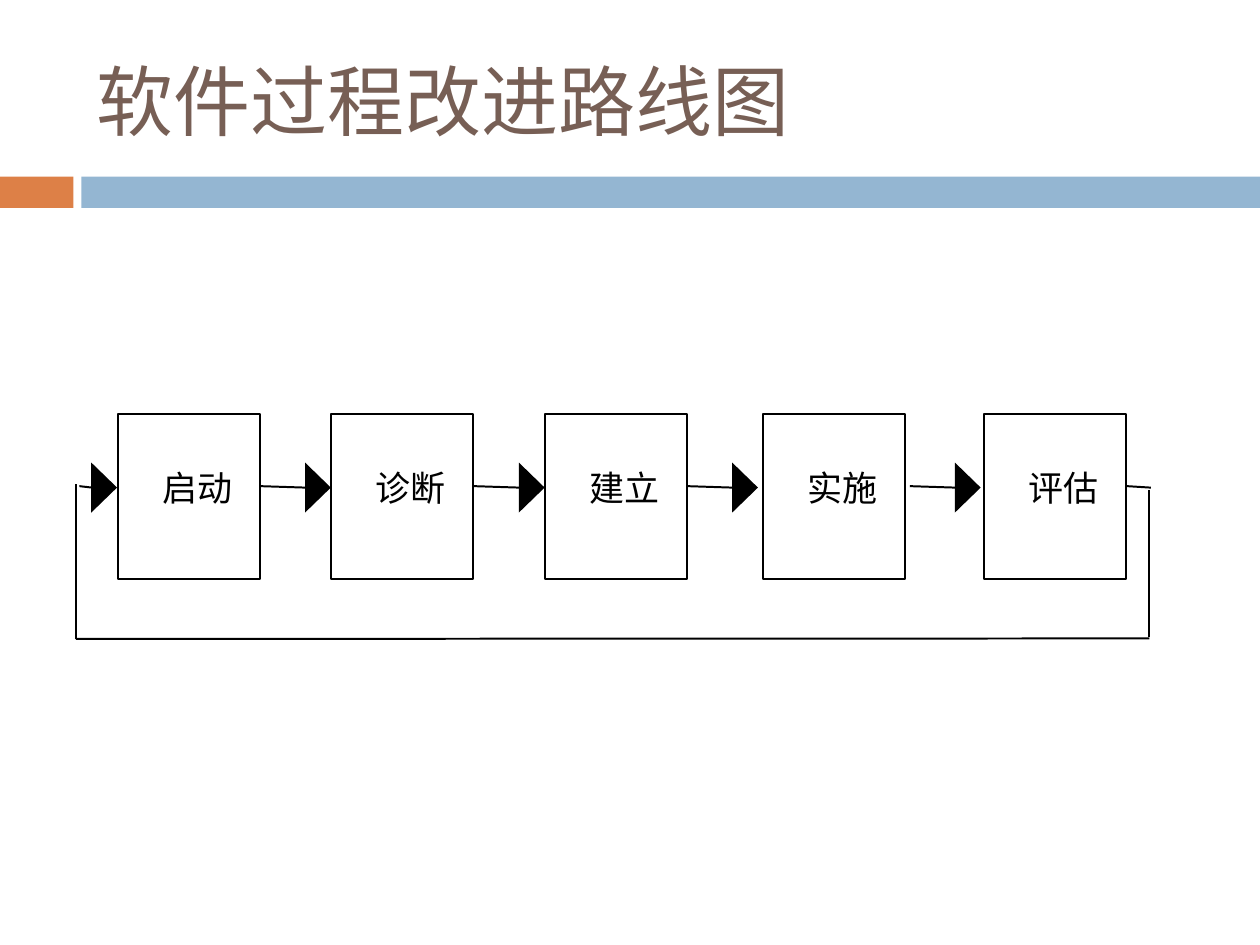
from dataclasses import dataclass

from lxml.etree import SubElement
from pptx import Presentation
from pptx.dml.color import RGBColor
from pptx.enum.shapes import MSO_CONNECTOR as Connector, MSO_SHAPE as Preset
from pptx.enum.text import MSO_ANCHOR as Anchor, PP_ALIGN as Align
from pptx.oxml.ns import qn
from pptx.util import Cm, Pt

BLACK, WHITE = "000000", "FFFFFF"
CJK_FONT = "Noto Sans CJK SC"
LINE_WIDTH = Pt(1.13)
BOX_TOP, BOX_WIDTH, BOX_HEIGHT = 8.35, 2.87, 3.33
FLOW_Y = 9.83
HEAD_WIDTH, HEAD_HEIGHT = 0.52, 1.01
FRAME_FORMAT = dict(margin_left=0, margin_right=0, margin_top=0,
                    margin_bottom=0, word_wrap=True)


@dataclass
class Bar:
    left: float
    width: float
    color: str


@dataclass
class Stage:
    label: str
    left: float


@dataclass
class Arrow:
    start: float
    head: float


@dataclass
class Segment:
    x1: float
    y1: float
    x2: float
    y2: float


BARS = [Bar(0, 1.48, "DD8047"), Bar(1.64, 23.76, "94B6D2")]
STAGES = [Stage("启动", 2.38), Stage("诊断", 6.67), Stage("建立", 10.99),
          Stage("实施", 15.38), Stage("评估", 19.84)]
ARROWS = [Arrow(1.6, 1.84), Arrow(5.24, 6.15), Arrow(9.55, 10.46),
          Arrow(13.85, 14.76), Arrow(18.34, 19.25)]
RETURN_LOOP = [Segment(22.72, 9.8, 23.2, FLOW_Y),
               Segment(23.17, 9.88, 23.17, 12.85),
               Segment(23.17, 12.87, 1.53, 12.88),
               Segment(1.53, 12.88, 1.53, 9.75)]


def rgb(color: str) -> RGBColor:
    return RGBColor.from_string(color)


def write(frame, text: str, size: float, font_name: str, color: str) -> None:
    frame.text = text
    run = frame.paragraphs[0].runs[0]
    for name, value in dict(size=Pt(size), name=font_name, bold=False).items():
        setattr(run.font, name, value)
    run.font.color.rgb = rgb(color)
    SubElement(run.font._element, qn("a:ea"), typeface=CJK_FONT)


def paint(shape, fill: str, outline: str | None = None) -> None:
    shape.shadow.inherit = False
    shape.fill.solid()
    shape.fill.fore_color.rgb = rgb(fill)
    if outline is None:
        shape.line.fill.background()
    else:
        shape.line.color.rgb = rgb(outline)
        shape.line.width = LINE_WIDTH


def draw_bar(shapes, bar: Bar) -> None:
    paint(shapes.add_shape(Preset.RECTANGLE, Cm(bar.left), Cm(3.56),
                           Cm(bar.width), Cm(0.63)), bar.color)


def draw_stage(shapes, stage: Stage) -> None:
    box = shapes.add_shape(Preset.RECTANGLE, Cm(stage.left), Cm(BOX_TOP),
                           Cm(BOX_WIDTH), Cm(BOX_HEIGHT))
    paint(box, WHITE, BLACK)
    label = shapes.add_textbox(Cm(stage.left + 0.85), Cm(9.4), Cm(1.52), Cm(1.65))
    for name, value in FRAME_FORMAT.items():
        setattr(label.text_frame, name, value)
    write(label.text_frame, stage.label, 20, CJK_FONT, BLACK)
    label.text_frame.paragraphs[0].alignment = Align.CENTER


def draw_segment(shapes, segment: Segment) -> None:
    line = shapes.add_connector(Connector.STRAIGHT, Cm(segment.x1), Cm(segment.y1),
                                Cm(segment.x2), Cm(segment.y2))
    line.line.color.rgb = rgb(BLACK)
    line.line.width = LINE_WIDTH
    SubElement(line._element.spPr, qn("a:effectLst"))


def draw_arrow(shapes, arrow: Arrow) -> None:
    draw_segment(shapes, Segment(arrow.start, 9.8, arrow.head + 0.02, FLOW_Y))
    top, bottom = FLOW_Y - HEAD_HEIGHT / 2, FLOW_Y + HEAD_HEIGHT / 2
    outline = shapes.build_freeform(Cm(arrow.head), Cm(bottom))
    outline.add_line_segments([(Cm(arrow.head + HEAD_WIDTH), Cm(FLOW_Y)),
                               (Cm(arrow.head), Cm(top))])
    paint(outline.convert_to_shape(), BLACK)


def main() -> None:
    deck = Presentation()
    deck.slide_width, deck.slide_height = Cm(25.4), Cm(19.05)
    slide = deck.slides.add_slide(deck.slide_layouts[5])
    shapes = slide.shapes

    title = shapes.title
    place = dict(left=Cm(1.7), top=Cm(0.64), width=Cm(22.66), height=Cm(2.74))
    for name, value in place.items():
        setattr(title, name, value)
    write(title.text_frame, "软件过程改进路线图", 44, "Calibri", "775F55")
    title.text_frame.vertical_anchor = Anchor.MIDDLE
    title.text_frame.paragraphs[0].alignment = Align.LEFT

    for bar in BARS:
        draw_bar(shapes, bar)
    for stage in STAGES:
        draw_stage(shapes, stage)
    for arrow in ARROWS:
        draw_arrow(shapes, arrow)
    for segment in RETURN_LOOP:
        draw_segment(shapes, segment)

    deck.save("out.pptx")


if __name__ == "__main__":
    main()
